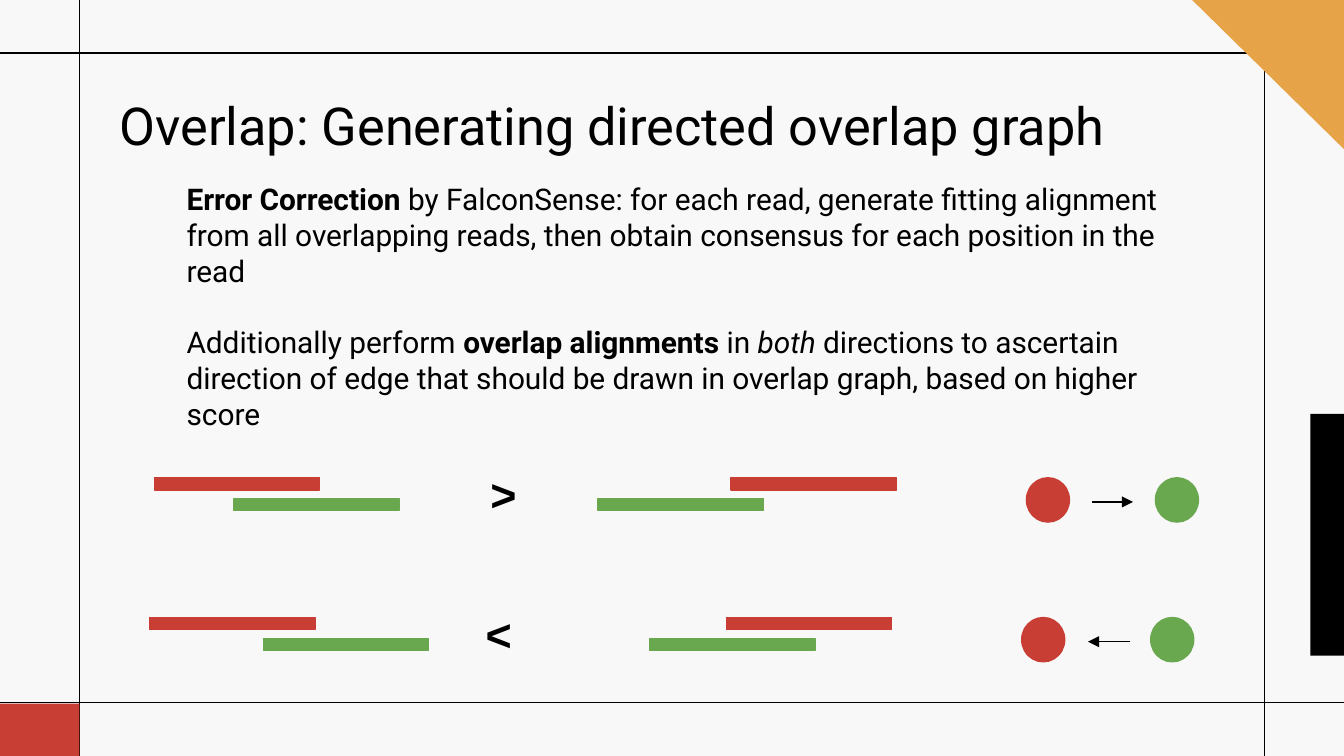
from lxml import etree
from pptx import Presentation
from pptx.dml.color import RGBColor
from pptx.enum.shapes import MSO_CONNECTOR, MSO_SHAPE
from pptx.enum.text import MSO_ANCHOR, PP_ALIGN
from pptx.oxml.ns import qn
from pptx.util import Inches, Pt

RECT, OVAL, TRIANGLE = MSO_SHAPE.RECTANGLE, MSO_SHAPE.OVAL, MSO_SHAPE.RIGHT_TRIANGLE
STRAIGHT, TOP, LEFT = MSO_CONNECTOR.STRAIGHT, MSO_ANCHOR.TOP, PP_ALIGN.LEFT
RED, GREEN, ORANGE, BLACK = "C83D34", "6AA84F", "E7A347", "000000"
rgb = RGBColor.from_string

prs = Presentation()
prs.slide_width = Inches(10)
prs.slide_height = prs.slide_width * 9 // 16
s = prs.slides.add_slide(prs.slide_layouts[1])
s.background.fill.solid()
s.background.fill.fore_color.rgb = rgb("F8F8F8")

COLS, ROWS = 100, 56.25
U = prs.slide_width / COLS


def block(kind, x, y, w, h, color, outlined=True):
    sp = s.shapes.add_shape(kind, *(round(v * U) for v in (x, y, w, h)))
    sp.shadow.inherit = False
    sp.fill.solid()
    sp.fill.fore_color.rgb = rgb(color)
    if outlined:
        sp.line.color.rgb = rgb(color)
        sp.line.width = Pt(0.75)
    else:
        sp.line.fill.background()
    return sp


def line(x1, y1, x2, y2, arrow=False):
    cn = s.shapes.add_connector(STRAIGHT, *(round(v * U) for v in (x1, y1, x2, y2)))
    cn.line.color.rgb = rgb(BLACK)
    cn.line.width = Pt(0.75)
    if arrow:
        ln = cn.line._get_or_add_ln()
        etree.SubElement(ln, qn("a:tailEnd"), type="triangle")
    etree.SubElement(cn._element.spPr, qn("a:effectLst"))


for x in (5.93, COLS - 5.93):
    line(x, 0, x, ROWS)
for y in (3.95, 52.25):
    line(0, y, COLS, y)
block(RECT, 0, 52.35, 5.9, 3.9, RED, outlined=False)
block(TRIANGLE, 88.7, 0, 11.3, 11.1, ORANGE, outlined=False).rotation = 180
block(RECT, 97.5, 30.8, 2.5, 18, BLACK, outlined=False)

title, body = s.shapes.title, s.placeholders[1]
for sp, box in ((title, (7.9, 5.95, 84.3, 6.5)), (body, (7.88, 12.45, 82.1, 21.6))):
    sp.left, sp.top, sp.width, sp.height = (round(v * U) for v in box)
    tf = sp.text_frame
    tf.word_wrap = True
    tf.vertical_anchor = TOP
    tf.margin_left = tf.margin_right = tf.margin_top = tf.margin_bottom = Inches(0.1)

p = title.text_frame.paragraphs[0]
p.text = "Overlap: Generating directed overlap graph"
p.alignment = LEFT
p.font.name, p.font.size = "Roboto", Pt(28)
p.font.color.rgb = rgb(BLACK)

paragraphs = (
    (("Error Correction ", "b"),
     ("by FalconSense: for each read, generate fitting alignment from all "
      "overlapping reads, then obtain consensus for each position in the read", "")),
    (("Additionally perform ", ""), ("overlap alignments", "b"), (" in ", ""), ("both ", "i"),
     ("directions to ascertain direction of edge that should be drawn in overlap "
      "graph, based on higher score", "")),
)
tf = body.text_frame
for i, runs in enumerate(paragraphs):
    p = tf.add_paragraph() if i else tf.paragraphs[0]
    p.alignment = LEFT
    p.space_before = Pt(19 * i)
    p.font.name, p.font.size = "Roboto", Pt(16)
    p.font.color.rgb = rgb(BLACK)
    pPr = p._p.get_or_add_pPr()
    pPr.set("marL", str(Inches(0.5)))
    pPr.set("indent", "0")
    pPr.insert_element_before(etree.Element(qn("a:buNone")), "a:tabLst", "a:defRPr", "a:extLst")
    for text, style in runs:
        r = p.add_run()
        r.text = text
        r.font.bold, r.font.italic = style == "b", style == "i"

comparisons = (
    (35.55, 11.5, (17.4, 44.5), ">", (81.25, 84.3)),
    (45.95, 11.15, (19.6, 48.35), "<", (84.1, 80.95)),
)
for y, x, greens, sign, (tail, head) in comparisons:
    for red_x, green_x in zip((x, x + 42.9), greens):
        block(RECT, red_x, y, 12.3, 0.9, RED)
        block(RECT, green_x, y + 1.55, 12.3, 0.9, GREEN)
    sp = s.shapes.add_textbox(*(round(v * U) for v in (x + 24, y - 1.83, 4.8, 4.3)))
    tf = sp.text_frame
    tf.word_wrap = True
    tf.margin_left = tf.margin_right = tf.margin_top = tf.margin_bottom = Inches(0.1)
    p = tf.paragraphs[0]
    p.text = sign
    p.font.name, p.font.size, p.font.bold = "Arial", Pt(24), True
    p.font.color.rgb = rgb(BLACK)
    block(OVAL, x + 64.87, y, 3.2, 3.3, RED)
    block(OVAL, x + 74.47, y, 3.2, 3.3, GREEN)
    line(tail, y + 1.8, head, y + 1.8, arrow=True)

prs.save("out.pptx")
